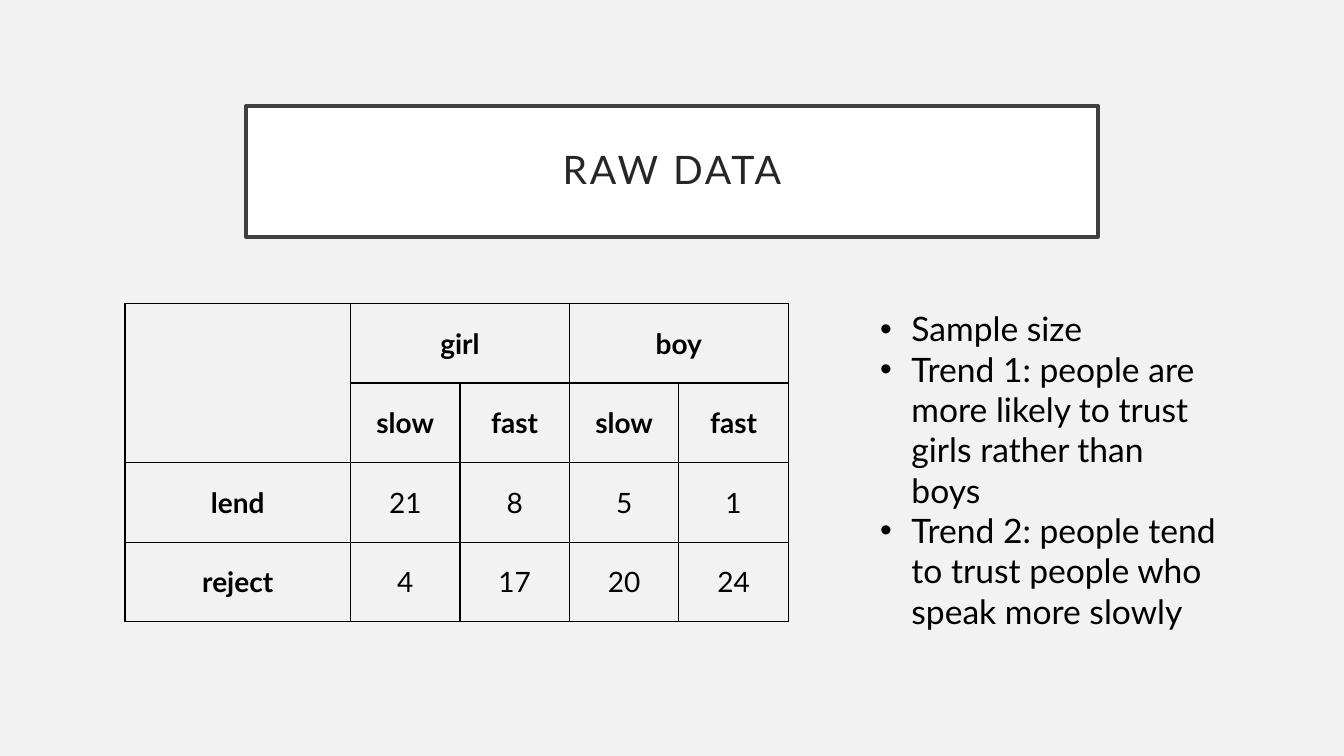
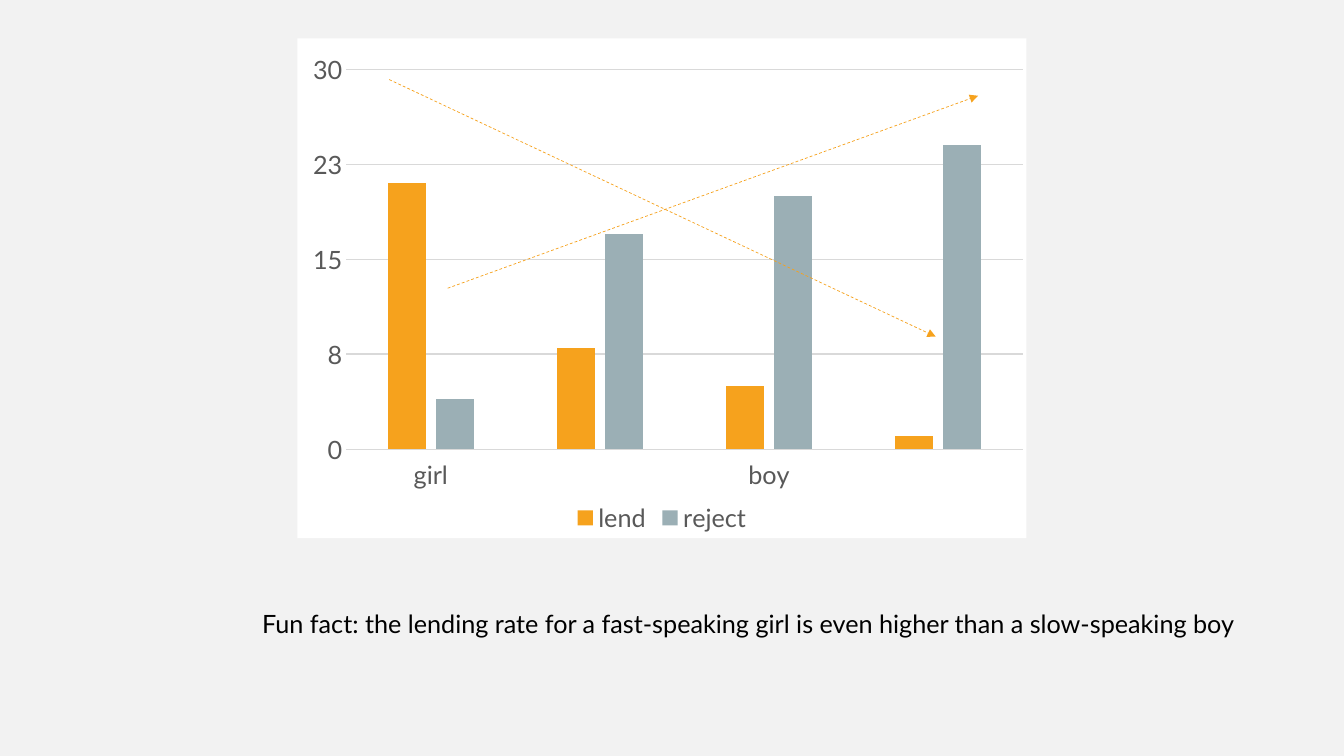
import lxml.etree
import pptx
import pptx.chart.data
import pptx.dml.color
import pptx.enum.chart
import pptx.enum.dml
import pptx.enum.shapes
import pptx.enum.text
import pptx.oxml
import pptx.oxml.ns
import pptx.util

RGBColor = pptx.dml.color.RGBColor
Inches = pptx.util.Inches
Pt = pptx.util.Pt
qn = pptx.oxml.ns.qn

# Content
TITLE = "RAW DATA"
GROUPS = ["girl", "boy"]
SPEEDS = ["slow", "fast"]
COUNTS = {"lend": (21, 8, 5, 1), "reject": (4, 17, 20, 24)}
FINDINGS = [
    "Sample size",
    "Trend 1: people are more likely to trust girls rather than boys ",
    "Trend 2: people tend to trust people who speak more slowly",
]
FUN_FACT = ("Fun fact: the lending rate for a fast-speaking girl "
            "is even higher than a slow-speaking boy")

# Places, in percent of the slide: left, top, width, height
TITLE_BOX = (18.3, 14, 63.39, 17.33)
TABLE_BOX = (9.3, 40.13, 49.36, 42.13)
FINDINGS_BOX = (65.12, 40.13, 26.11, 44.4)
CHART_BOX = (22.13, 5.07, 54.24, 66.13)
FACT_BOX = (19.13, 79.87, 77.94, 5.33)
# Trend arrows: from x, y to x, y
TREND_ARROWS = [(28.96, 10.53, 69.62, 44.53), (33.31, 38.13, 72.77, 12.67)]
# Plot area, in percent of the chart
PLOT_BOX = {"x": 6.7, "y": 6.2, "w": 92.8, "h": 76}
LABEL_COLUMN_SHARE = 0.34

# Style
WIDTH, HEIGHT = Inches(13.33), Inches(7.5)
FONT = "Lato"
BACKGROUND = RGBColor(0xF2, 0xF2, 0xF2)
WHITE = RGBColor(0xFF, 0xFF, 0xFF)
BLACK = RGBColor(0, 0, 0)
TITLE_BORDER = RGBColor(0x40, 0x40, 0x40)
TITLE_COLOR = RGBColor(0x26, 0x26, 0x26)
AXIS_TEXT = RGBColor(0x59, 0x59, 0x59)
GRID_COLOR = RGBColor(0xD9, 0xD9, 0xD9)
ORANGE = RGBColor(0xF6, 0xA2, 0x1D)
GRAY_BLUE = RGBColor(0x9B, 0xAF, 0xB5)
SERIES_COLORS = [ORANGE, GRAY_BLUE]


def place(box):
    """Turn percentages of the slide into lengths, x and y in turn."""
    return [round(share / 100 * (HEIGHT if index % 2 else WIDTH))
            for index, share in enumerate(box)]


def set_values(target, values):
    """Set each attribute named in a dict."""
    for name, value in values.items():
        setattr(target, name, value)


def set_font(font, size, color=BLACK, name=FONT, bold=False):
    """Give a font its size, colour and typeface."""
    set_values(font, {"size": Pt(size), "name": name, "bold": bold})
    font.color.rgb = color


def set_line(line, color, width):
    """Give a line its colour and width."""
    line.color.rgb = color
    line.width = Pt(width)


def set_margins(target, margin):
    """Set all four margins of a text frame or cell, in inches."""
    sides = ("left", "top", "right", "bottom")
    set_values(target, {f"margin_{side}": Inches(margin) for side in sides})


def add_slide(presentation):
    """Add a blank slide with the shared background."""
    slide = presentation.slides.add_slide(presentation.slide_layouts[6])
    slide.background.fill.solid()
    slide.background.fill.fore_color.rgb = BACKGROUND
    return slide


def add_title(slide, text):
    """Add the framed title."""
    shape = slide.shapes.add_shape(
        pptx.enum.shapes.MSO_SHAPE.RECTANGLE, *place(TITLE_BOX))
    shape.shadow.inherit = False
    shape.fill.solid()
    shape.fill.fore_color.rgb = WHITE
    set_line(shape.line, TITLE_BORDER, 2.5)
    frame = shape.text_frame
    set_margins(frame, 0.2)
    frame.vertical_anchor = pptx.enum.text.MSO_ANCHOR.MIDDLE
    paragraph = frame.paragraphs[0]
    set_values(paragraph, {"alignment": pptx.enum.text.PP_ALIGN.CENTER,
                           "line_spacing": 0.9})
    run = paragraph.add_run()
    run.text = text
    set_font(run.font, 28, TITLE_COLOR)
    run.font._element.set("spc", "200")


def add_text(slide, box, lines, size, bulleted=False):
    """Add a text box with one paragraph for each line."""
    frame = slide.shapes.add_textbox(*place(box)).text_frame
    frame.word_wrap = True
    set_margins(frame, 0.05)
    for index, line in enumerate(lines):
        paragraph = frame.add_paragraph() if index else frame.paragraphs[0]
        run = paragraph.add_run()
        run.text = line
        set_font(run.font, size)
        if bulleted:
            properties = paragraph._p.get_or_add_pPr()
            indent = Inches(0.31)
            properties.set("marL", str(indent))
            properties.set("indent", str(-indent))
            lxml.etree.SubElement(properties, qn("a:buFont"), typeface="Arial")
            lxml.etree.SubElement(properties, qn("a:buChar"), char="•")


def format_cell(cell):
    """Give a cell thin black borders and no fill."""
    properties = cell._tc.get_or_add_tcPr()
    for side in ("lnL", "lnR", "lnT", "lnB"):
        border = lxml.etree.SubElement(properties, qn(f"a:{side}"), w=str(Pt(1)))
        fill = lxml.etree.SubElement(border, qn("a:solidFill"))
        lxml.etree.SubElement(fill, qn("a:srgbClr"), val=str(BLACK))
    cell.fill.background()
    set_margins(cell, 0.01)
    cell.vertical_anchor = pptx.enum.text.MSO_ANCHOR.MIDDLE


def add_counts_table(slide):
    """Add the table of counts by group and speed."""
    span = len(SPEEDS)
    group_row = [""]
    for group in GROUPS:
        group_row += [group] + [""] * (span - 1)
    rows = [group_row, [""] + SPEEDS * len(GROUPS)]
    rows += [[answer, *counts] for answer, counts in COUNTS.items()]
    left, top, width, height = place(TABLE_BOX)
    table = slide.shapes.add_table(
        len(rows), len(rows[0]), left, top, width, height).table
    set_values(table, {"first_row": False, "horz_banding": False})
    label_width = round(width * LABEL_COLUMN_SHARE)
    for index, column in enumerate(table.columns):
        column.width = ((width - label_width) // (len(rows[0]) - 1)
                        if index else label_width)
    for row_index, row in enumerate(rows):
        for column_index, value in enumerate(row):
            cell = table.cell(row_index, column_index)
            format_cell(cell)
            if value == "":
                continue
            paragraph = cell.text_frame.paragraphs[0]
            paragraph.alignment = pptx.enum.text.PP_ALIGN.CENTER
            run = paragraph.add_run()
            run.text = str(value)
            set_font(run.font, 20, bold=isinstance(value, str))
    table.cell(0, 0).merge(table.cell(1, 0))
    for first in range(1, len(group_row), span):
        table.cell(0, first).merge(table.cell(0, first + span - 1))


def set_chart_area(chart):
    """Fill the chart area white and fix the place of the plot."""
    area = pptx.oxml.parse_xml(
        f'<c:spPr {pptx.oxml.ns.nsdecls("c", "a")}>'
        f'<a:solidFill><a:srgbClr val="{WHITE}"/></a:solidFill>'
        '<a:ln><a:noFill/></a:ln></c:spPr>')
    chart._chartSpace.find(qn("c:txPr")).addprevious(area)
    plot_area = chart._chartSpace.chart.plotArea
    for old in plot_area.findall(qn("c:layout")):
        plot_area.remove(old)
    layout = lxml.etree.Element(qn("c:layout"))
    manual = lxml.etree.SubElement(layout, qn("c:manualLayout"))
    settings = {"layoutTarget": "inner", "xMode": "edge", "yMode": "edge"}
    settings.update({key: str(share / 100) for key, share in PLOT_BOX.items()})
    for name, value in settings.items():
        lxml.etree.SubElement(manual, qn(f"c:{name}"), val=value)
    plot_area.insert(0, layout)


def add_counts_chart(slide):
    """Add the column chart of the counts."""
    data = pptx.chart.data.CategoryChartData()
    data.categories = [group if index == 0 else ""
                       for group in GROUPS for index in range(len(SPEEDS))]
    for answer, counts in COUNTS.items():
        data.add_series(answer, counts)
    chart = slide.shapes.add_chart(
        pptx.enum.chart.XL_CHART_TYPE.COLUMN_CLUSTERED,
        *place(CHART_BOX), data).chart
    set_font(chart.font, 10, name="Roboto")
    set_values(chart, {"has_title": False, "has_legend": True})
    set_values(chart.legend, {
        "position": pptx.enum.chart.XL_LEGEND_POSITION.BOTTOM,
        "include_in_layout": True})
    set_font(chart.legend.font, 18, AXIS_TEXT)
    plot = chart.plots[0]
    set_values(plot, {"gap_width": 219, "overlap": -27, "vary_by_categories": False})
    for series, color in zip(plot.series, SERIES_COLORS):
        series.format.fill.solid()
        series.format.fill.fore_color.rgb = color
    category_axis, value_axis = chart.category_axis, chart.value_axis
    for axis in (category_axis, value_axis):
        axis.major_tick_mark = pptx.enum.chart.XL_TICK_MARK.NONE
        set_font(axis.tick_labels.font, 18, AXIS_TEXT)
    category_axis.tick_label_position = pptx.enum.chart.XL_TICK_LABEL_POSITION.LOW
    set_line(category_axis.format.line, GRID_COLOR, 1)
    set_values(value_axis, {"minimum_scale": 0, "maximum_scale": 30,
                            "major_unit": 7.5, "has_major_gridlines": True})
    set_values(value_axis.tick_labels,
               {"number_format": "0", "number_format_is_linked": False})
    value_axis.format.line.fill.background()
    set_line(value_axis.major_gridlines.format.line, GRID_COLOR, 1)
    set_chart_area(chart)


def add_trend_arrow(slide, ends):
    """Add a thin dashed arrow."""
    connector = slide.shapes.add_connector(
        pptx.enum.shapes.MSO_CONNECTOR.STRAIGHT, *place(ends))
    set_line(connector.line, ORANGE, 0.5)
    connector.line.dash_style = pptx.enum.dml.MSO_LINE.DASH
    properties = connector._element.spPr
    lxml.etree.SubElement(properties.find(qn("a:ln")), qn("a:tailEnd"), type="triangle")
    lxml.etree.SubElement(properties, qn("a:effectLst"))


def build():
    """Build both slides and save the presentation."""
    presentation = pptx.Presentation()
    set_values(presentation, {"slide_width": WIDTH, "slide_height": HEIGHT})

    data_slide = add_slide(presentation)
    add_title(data_slide, TITLE)
    add_counts_table(data_slide)
    add_text(data_slide, FINDINGS_BOX, FINDINGS, 24, bulleted=True)

    chart_slide = add_slide(presentation)
    add_counts_chart(chart_slide)
    for ends in TREND_ARROWS:
        add_trend_arrow(chart_slide, ends)
    add_text(chart_slide, FACT_BOX, [FUN_FACT], 18)

    presentation.save("out.pptx")


build()
